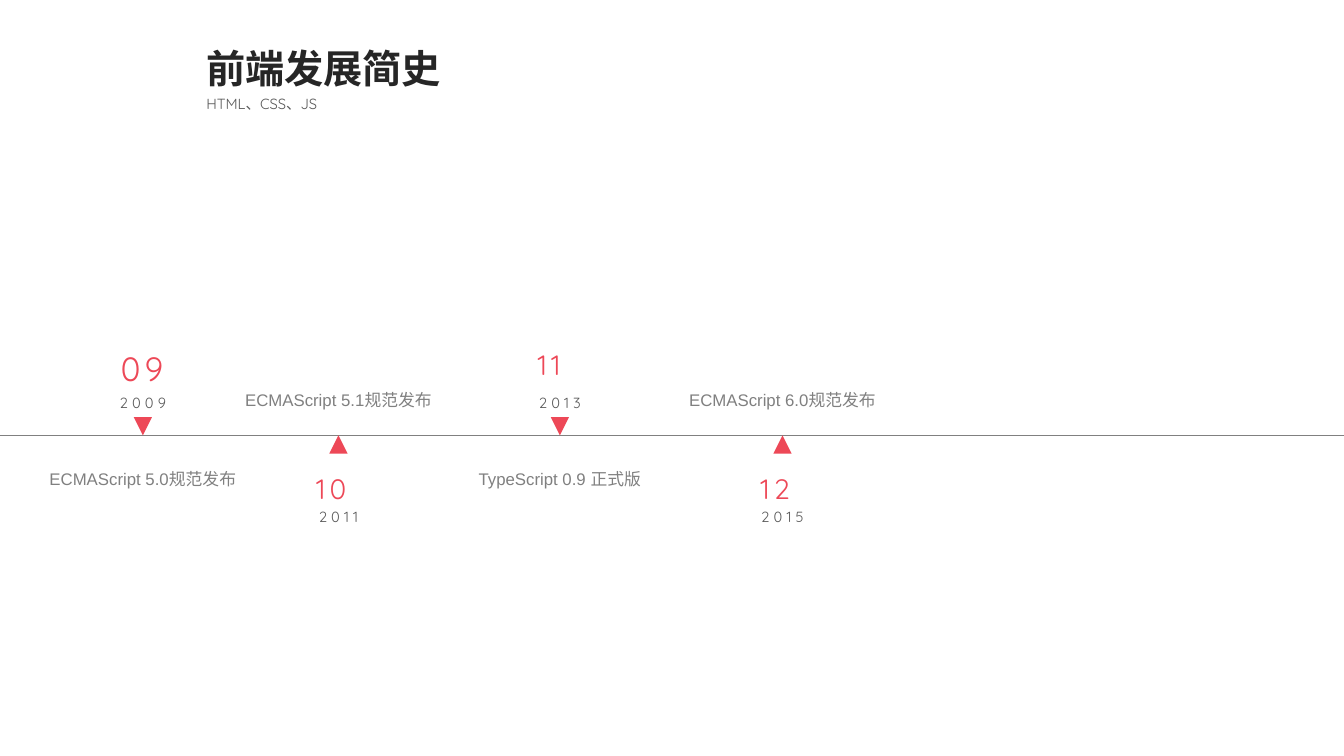
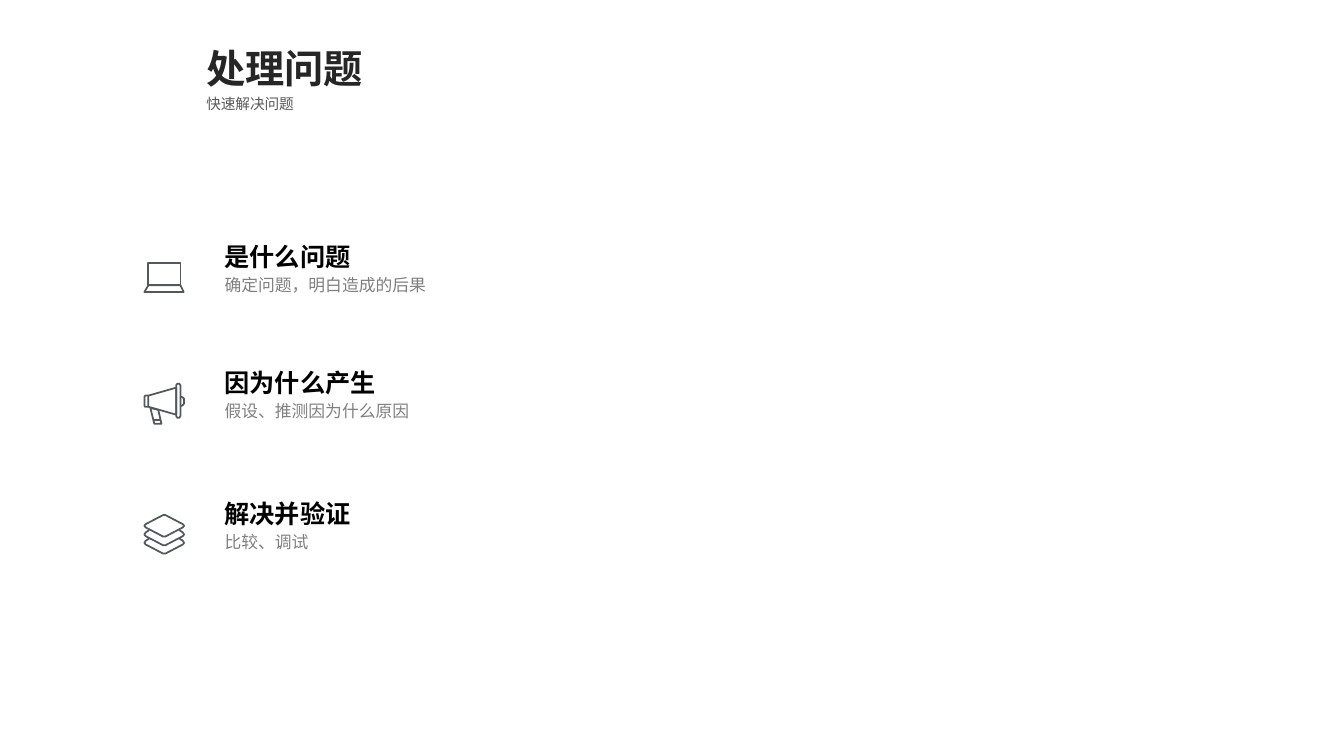
from pptx import Presentation, util as u
from pptx.dml.color import RGBColor
from pptx.enum import shapes, text
from pptx.oxml.ns import qn
from lxml import etree

RED = RGBColor(0xED, 0x48, 0x57)
INK = RGBColor(0x26, 0x26, 0x26)
BLACK = RGBColor(0, 0, 0)
DARK_GRAY = RGBColor(0x59, 0x59, 0x59)
GRAY = RGBColor(0x80, 0x80, 0x80)
ICON_GRAY = RGBColor(0x53, 0x58, 0x5F)
SANS, ROUNDED = "Arial", "Quicksand"
CENTER, JUSTIFY = text.PP_ALIGN.CENTER, text.PP_ALIGN.JUSTIFY
WIDTH, HEIGHT = 33.87, 19.05

# Centre in cm, number, number size, year, caption, whether the date is above the axis
MILESTONES = [
    (3.6, "09", 24, "2009", "ECMAScript 5.0规范发布", True),
    (8.53, "10", 20, "2011", "ECMAScript 5.1规范发布", False),
    (14.11, "11", 20, "2013", "TypeScript 0.9 正式版", True),
    (19.72, "12", 20, "2015", "ECMAScript 6.0规范发布", False),
]
AXIS_TOP = 10.97
MARKER = 0.46
# Tops of number, year and caption, by whether the date is above the axis
MILESTONE_TOPS = {True: (8.64, 9.8, 11.58), False: (11.75, 12.67, 9.6)}

# Icon outlines on a grid of 0.1 mm: (closed, points)
LAPTOP = [
    (True, [(13, 16), (94, 16), (94, 72), (13, 72)]),
    (True, [(13, 72), (94, 72), (102, 89), (3, 89)]),
]
MEGAPHONE = [
    (True, [(86, 3), (91, 3), (94, 7), (94, 84), (91, 89), (86, 89), (83, 84), (83, 7)]),
    (True, [(13, 33), (83, 13), (83, 81), (13, 61)]),
    (False, [(13, 33), (5, 33), (3, 36), (3, 59), (5, 61), (13, 61)]),
    (True, [(18, 64), (38, 69), (46, 104), (28, 104)]),
    (False, [(25, 94), (43, 94)]),
    (False, [(94, 36), (99, 37), (103, 41), (103, 53), (99, 58), (94, 59)]),
]
LOWER_LAYER = [(15, 41), (6, 47), (3, 52), (6, 56), (50, 79), (56, 79),
               (100, 56), (103, 52), (100, 47), (91, 41)]
LAYERS = [
    (True, [(6, 26), (50, 3), (56, 3), (100, 26), (103, 30), (100, 34),
            (56, 57), (50, 57), (6, 34), (3, 30)]),
] + [(False, [(x, y + drop) for x, y in LOWER_LAYER]) for drop in (0, 21)]

STEPS = [
    (5.8, LAPTOP, "是什么问题", "确定问题，明白造成的后果"),
    (8.97, MEGAPHONE, "因为什么产生", "假设、推测因为什么原因"),
    (12.28, LAYERS, "解决并验证", "比较、调试"),
]


def add_text(page, content, left, top, width, height, size, color, font=SANS,
             bold=False, align=None, wrap=True, line_spacing=None, tracking=0):
    """Add one line of text; lengths in cm, tracking in points."""
    box = page.shapes.add_textbox(u.Cm(left), u.Cm(top), u.Cm(width), u.Cm(height))
    frame = box.text_frame
    frame.word_wrap = wrap
    frame.auto_size = text.MSO_AUTO_SIZE.SHAPE_TO_FIT_TEXT
    para = frame.paragraphs[0]
    span = para.add_run()
    span.text = content
    para.alignment = align
    para.line_spacing = line_spacing
    para.font.name = font
    para.font.size = u.Pt(size)
    para.font.bold = bold
    para.font.color.rgb = color
    if tracking:
        span.font._element.set("spc", str(tracking * 100))


def add_page(deck, title, subtitle):
    page = deck.slides.add_slide(deck.slide_layouts[6])
    add_text(page, subtitle, 4.95, 2.27, 10.46, 0.71, 10.5, DARK_GRAY, ROUNDED)
    add_text(page, title, 4.95, 0.99, 6.45, 1.45, 28, INK, bold=True, wrap=False)
    return page


def add_axis(page):
    axis = page.shapes.add_connector(shapes.MSO_CONNECTOR.STRAIGHT, 0, u.Cm(AXIS_TOP),
                                     u.Cm(WIDTH), u.Cm(AXIS_TOP))
    axis.line.color.rgb = GRAY
    axis.line.width = u.Pt(0.5)
    etree.SubElement(axis._element.spPr, qn("a:effectLst"))


def add_milestone(page, center, number, number_size, year, caption, above):
    """Add a marker on the axis, its date on one side and its caption on the other."""
    number_top, year_top, caption_top = MILESTONE_TOPS[above]
    marker_top = AXIS_TOP - MARKER if above else AXIS_TOP
    marker = page.shapes.add_shape(shapes.MSO_SHAPE.ISOSCELES_TRIANGLE,
                                   u.Cm(center - MARKER / 2), u.Cm(marker_top),
                                   u.Cm(MARKER), u.Cm(MARKER))
    marker.rotation = 180 if above else 0
    marker.shadow.inherit = False
    marker.fill.solid()
    marker.fill.fore_color.rgb = RED
    marker.line.fill.background()

    date_style = dict(font=ROUNDED, tracking=3)
    add_text(page, number, center - 0.81, number_top, 2.4, 1.12, number_size, RED,
             **date_style)
    add_text(page, year, center - 1.2, year_top, 2.4, 0.71, 10.5, DARK_GRAY,
             align=CENTER, **date_style)
    add_text(page, caption, center - 3.45, caption_top, 6.9, 0.86, 12, GRAY,
             align=CENTER, line_spacing=1.2)


def add_icon(page, outlines, left, top):
    builder = page.shapes.build_freeform(*outlines[0][1][0], scale=u.Cm(0.01))
    for index, (closed, points) in enumerate(outlines):
        if index:
            builder.move_to(*points[0])
        builder.add_line_segments(points[1:], close=closed)
    icon = builder.convert_to_shape(u.Cm(left), u.Cm(top))
    icon.shadow.inherit = False
    icon.fill.background()
    icon.line.color.rgb = ICON_GRAY
    icon.line.width = u.Pt(1.25)


def add_step(page, top, icon, heading, detail):
    add_icon(page, icon, 3.61, top + 0.67)
    style = dict(align=JUSTIFY, line_spacing=1.2)
    add_text(page, detail, 5.41, top + 0.9, 13.36, 0.86, 12, GRAY, **style)
    add_text(page, heading, 5.41, top, 5.79, 1.17, 18, BLACK, bold=True, **style)


def main():
    deck = Presentation()
    deck.slide_width, deck.slide_height = u.Cm(WIDTH), u.Cm(HEIGHT)

    history = add_page(deck, "前端发展简史", "HTML、CSS、JS")
    add_axis(history)
    for milestone in MILESTONES:
        add_milestone(history, *milestone)

    solving = add_page(deck, "处理问题", "快速解决问题")
    for step in STEPS:
        add_step(solving, *step)

    deck.save("out.pptx")


if __name__ == "__main__":
    main()
